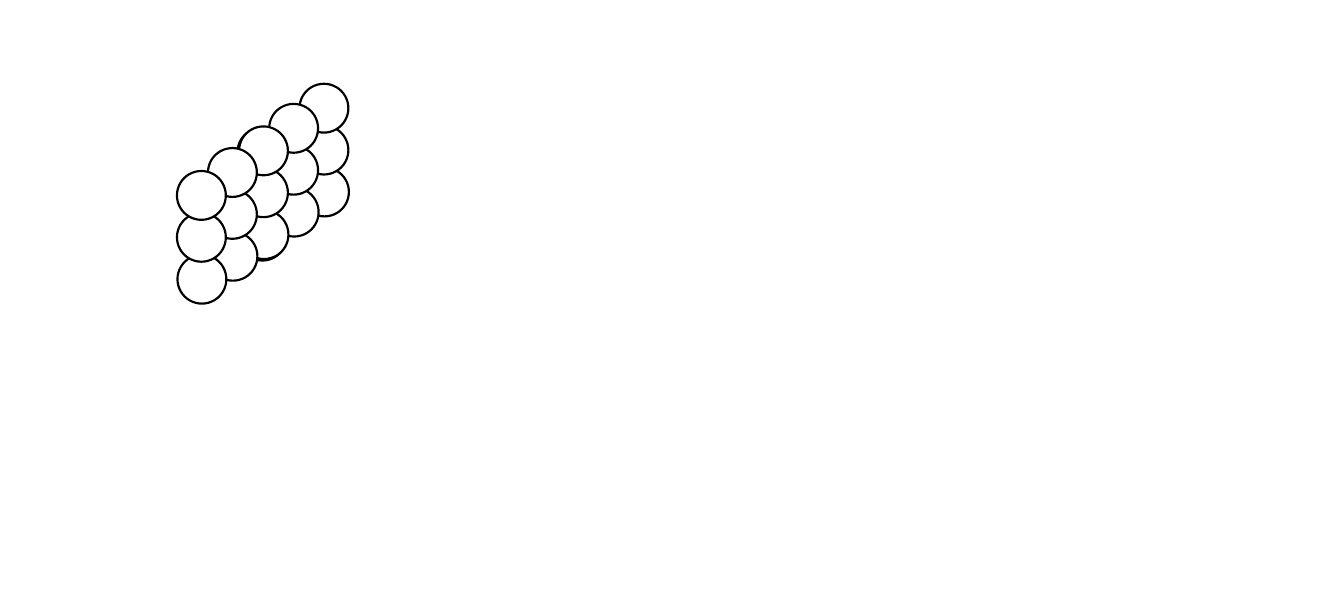
"""Build a slide with a slanted sheet of stacked spheres."""
from pptx import Presentation
from pptx.dml.color import RGBColor as Rgb
from pptx.enum.shapes import MSO_SHAPE as Shape
from pptx.util import Pt

COLORS = {"sphere": "FFFFFF", "outline": "000000"}
SLIDE_WIDTH = 1247.04
SLIDE_HEIGHT = 567.36
DIAMETER = 45.36
ROW_STEP = 38.9
ROWS = 3
BOTTOM_SHIFT = 0.5
BACK_COLUMNS = [
    (220.3, 118.8),
    (277.9, 77.8),
    (249.8, 96.5),
    (221.8, 117.4),
    (193, 137.5),
]
FRONT_COLUMN = (164.2, 158.8)


class SphereSlide:
    def __init__(self, deck):
        self.slide = deck.slides.add_slide(deck.slide_layouts[6])
        self.outline_width = Pt(2)

    def sphere(self, parent, left, top):
        ball = parent.add_shape(
            Shape.OVAL, Pt(left), Pt(top), Pt(DIAMETER), Pt(DIAMETER)
        )
        ball.shadow.inherit = False
        ball.fill.solid()
        ball.fill.fore_color.rgb = Rgb.from_string(COLORS["sphere"])
        ball.line.color.rgb = Rgb.from_string(COLORS["outline"])
        ball.line.width = self.outline_width

    def column(self, parent, left, top):
        for row in reversed(range(ROWS)):
            shift = BOTTOM_SHIFT if row == ROWS - 1 else 0
            self.sphere(parent, left + shift, top + row * ROW_STEP)

    def grouped_column(self, left, top):
        self.column(self.slide.shapes.add_group_shape().shapes, left, top)


def main():
    deck = Presentation()
    deck.slide_width, deck.slide_height = Pt(SLIDE_WIDTH), Pt(SLIDE_HEIGHT)
    sheet = SphereSlide(deck)
    for left, top in BACK_COLUMNS:
        sheet.column(sheet.slide.shapes, left, top)
    sheet.grouped_column(*FRONT_COLUMN)
    deck.save("out.pptx")


if __name__ == "__main__":
    main()
